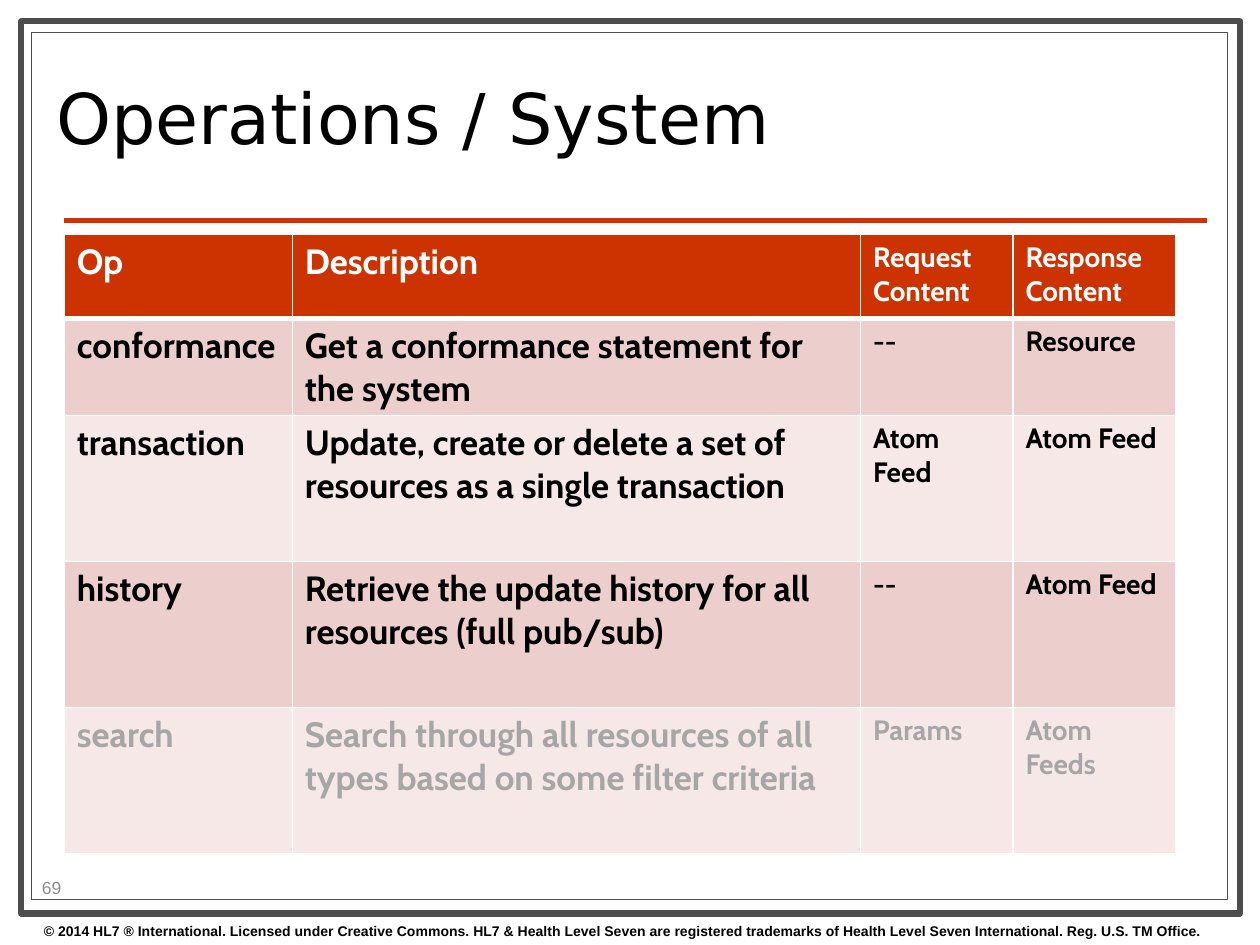
from lxml import etree
from pptx import Presentation
from pptx.dml.color import RGBColor
from pptx.enum.shapes import MSO_CONNECTOR, MSO_SHAPE
from pptx.enum.text import MSO_ANCHOR, PP_ALIGN
from pptx.oxml.ns import qn
from pptx.util import Inches, Pt

RECTANGLE, OVAL = MSO_SHAPE.RECTANGLE, MSO_SHAPE.OVAL
STRAIGHT = MSO_CONNECTOR.STRAIGHT
TOP, MIDDLE = MSO_ANCHOR.TOP, MSO_ANCHOR.MIDDLE
LEFT, CENTER = PP_ALIGN.LEFT, PP_ALIGN.CENTER

COLORS = {
    "white": "FFFFFF",
    "black": "000000",
    "frame": "4D4D4D",
    "accent": "CC3300",
    "band_dark": "ECCECC",
    "band_light": "F6E8E7",
    "muted": "A6A6A6",
    "page_number": "8C8C8C",
}
COPYRIGHT = (
    "© 2014 HL7 ® International. Licensed under Creative Commons. "
    "HL7 & Health Level Seven are registered trademarks of "
    "Health Level Seven International. Reg. U.S. TM Office."
)
OPERATIONS = [
    ["Op", "Description", "Request Content", "Response Content"],
    ["conformance", "Get a conformance statement for the system", "--", "Resource"],
    ["transaction", "Update, create or delete a set of resources as a single transaction",
     "Atom Feed", "Atom Feed"],
    ["history", "Retrieve the update history for all resources (full pub/sub)",
     "--", "Atom Feed"],
    ["search", "Search through all resources of all types based on some filter criteria",
     "Params", "Atom Feeds"],
]
COLUMN_WIDTHS = [1.81, 4.51, 1.21, 1.29]
COLUMN_SIZES = [20, 20, 16, 16]
ROW_HEIGHTS = [0.67, 0.74, 1.16, 1.16, 1.16]
ROW_FILLS = ["accent", "band_dark", "band_light", "band_dark", "band_light"]
ROW_TEXT_COLORS = ["white", "black", "black", "black", "muted"]


def rgb(name):
    """Return the named palette color."""
    return RGBColor.from_string(COLORS[name])


def write_text(text_frame, text, *, size, font="Arial", color="black", bold=False,
               align=LEFT, anchor=TOP, line_spacing=None, wrap=True):
    """Fill a text frame with one formatted paragraph."""
    text_frame.word_wrap = wrap
    text_frame.vertical_anchor = anchor
    paragraph = text_frame.paragraphs[0]
    paragraph.alignment = align
    if line_spacing:
        paragraph.line_spacing = line_spacing
    run = paragraph.add_run()
    run.text = text
    run.font.size = Pt(size)
    run.font.name = font
    run.font.bold = bold
    run.font.color.rgb = rgb(color)


def add_text(slide, left, top, width, height, text, **text_format):
    """Add a text box."""
    shape = slide.shapes.add_textbox(
        Inches(left), Inches(top), Inches(width), Inches(height))
    write_text(shape.text_frame, text, **text_format)


def add_frame(slide, left, top, width, height, line_width):
    """Add a white rectangle with a gray outline."""
    shape = slide.shapes.add_shape(
        RECTANGLE, Inches(left), Inches(top), Inches(width), Inches(height))
    shape.shadow.inherit = False
    shape.fill.solid()
    shape.fill.fore_color.rgb = rgb("white")
    shape.line.color.rgb = rgb("frame")
    shape.line.width = Pt(line_width)


def add_rule(slide, left, right, top):
    """Add the horizontal accent line under the title."""
    connector = slide.shapes.add_connector(
        STRAIGHT, Inches(left), Inches(top), Inches(right), Inches(top))
    connector.line.color.rgb = rgb("accent")
    connector.line.width = Pt(3)
    etree.SubElement(connector._element.spPr, qn("a:effectLst"))


def add_page_number(slide, text):
    """Add the page number in an unfilled circle."""
    shape = slide.shapes.add_shape(
        OVAL, Inches(0.16), Inches(6.79), Inches(0.5), Inches(0.5))
    shape.shadow.inherit = False
    shape.fill.background()
    shape.line.fill.background()
    write_text(shape.text_frame, text, size=10, color="page_number",
               align=CENTER, anchor=MIDDLE, wrap=False)


def set_borders(cell, bottom_width):
    """Draw white borders around a table cell."""
    properties = cell._tc.get_or_add_tcPr()
    widths = {"a:lnL": 1, "a:lnR": 1, "a:lnT": 1, "a:lnB": bottom_width}
    for index, (tag, width) in enumerate(widths.items()):
        border = etree.Element(qn(tag), w=str(Pt(width)))
        fill = etree.SubElement(border, qn("a:solidFill"))
        etree.SubElement(fill, qn("a:srgbClr"), val=COLORS["white"])
        properties.insert(index, border)


def add_operations_table(slide, left, top):
    """Add the table of system operations."""
    table = slide.shapes.add_table(
        len(ROW_HEIGHTS), len(COLUMN_WIDTHS), Inches(left), Inches(top),
        Inches(sum(COLUMN_WIDTHS)), Inches(sum(ROW_HEIGHTS))).table
    for column, width in zip(table.columns, COLUMN_WIDTHS):
        column.width = Inches(width)
    for row_index, (row, height) in enumerate(zip(table.rows, ROW_HEIGHTS)):
        row.height = Inches(height)
        for cell, text, size in zip(row.cells, OPERATIONS[row_index], COLUMN_SIZES):
            cell.fill.solid()
            cell.fill.fore_color.rgb = rgb(ROW_FILLS[row_index])
            set_borders(cell, 3 if row_index == 0 else 1)
            write_text(cell.text_frame, text, size=size, font="Cabin", bold=True,
                       color=ROW_TEXT_COLORS[row_index])


def main():
    """Build and save the slide."""
    presentation = Presentation()
    presentation.slide_width = Inches(10)
    presentation.slide_height = Inches(7.5)
    slide = presentation.slides.add_slide(presentation.slide_layouts[6])
    add_frame(slide, 0.17, 0.17, 9.67, 7.08, 3.5)
    add_frame(slide, 0.25, 0.26, 9.49, 6.88, 0.75)
    add_rule(slide, 0.51, 9.58, 1.75)
    add_text(slide, 0.25, 7.27, 10, 0.23, COPYRIGHT, size=8, bold=True)
    add_text(slide, 0.35, 0.36, 7.17, 1.26, "Operations / System", size=40,
             font="DejaVu Sans", anchor=MIDDLE, line_spacing=0.8)
    add_operations_table(slide, 0.51, 1.86)
    add_page_number(slide, "69")
    presentation.save("out.pptx")


if __name__ == "__main__":
    main()
